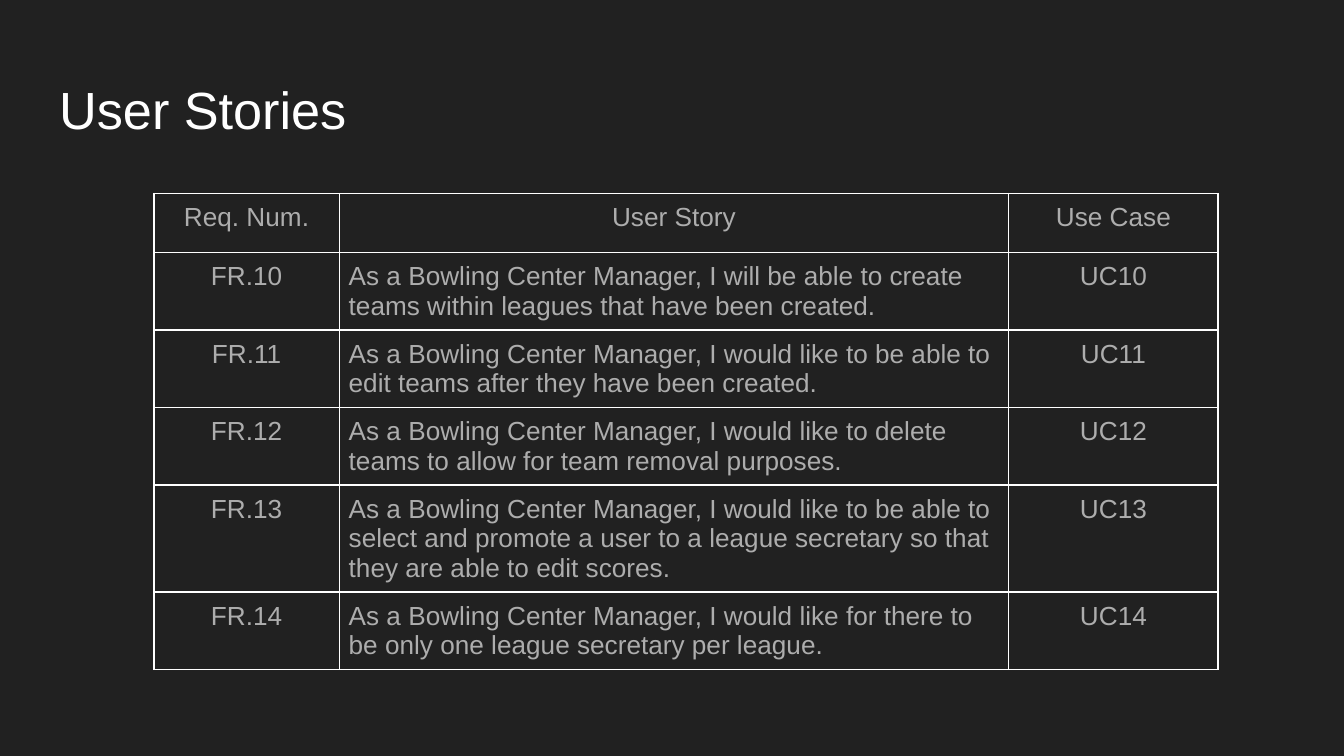
from lxml import etree
from pptx import Presentation
from pptx.dml.color import RGBColor
from pptx.enum.text import MSO_ANCHOR, MSO_AUTO_SIZE, PP_ALIGN
from pptx.oxml.ns import qn
from pptx.util import Pt

LEFT, CENTER = PP_ALIGN.LEFT, PP_ALIGN.CENTER
TOP = MSO_ANCHOR.TOP
NO_AUTOFIT = MSO_AUTO_SIZE.NONE

PX = 4572  # EMU in one px, 200 px to the inch
FONT = "Arial"
BACKGROUND, WHITE, GREY = "212121", "FFFFFF", "ADADAD"
TITLE_ONLY = 5

COLUMN_WIDTHS = [276, 996, 312]
COLUMN_ALIGNS = [CENTER, LEFT, CENTER]
HEADER_HEIGHT, ROW_HEIGHT = 88, 84
HEADER = ["Req. Num.", "User Story", "Use Case"]
FIRST_NUMBER = 10
STORIES = [
    "I will be able to create teams within leagues that have been created.",
    "I would like to be able to edit teams after they have been created.",
    "I would like to delete teams to allow for team removal purposes.",
    "I would like to be able to select and promote a user to a league secretary "
    "so that they are able to edit scores.",
    "I would like for there to be only one league secretary per league.",
]


def px(length):
    return length * PX


def color(value):
    return RGBColor.from_string(value)


def write(para, text, size, ink, align):
    para.alignment = align
    span = para.add_run()
    span.text = text
    span.font.name = FONT
    span.font.size = Pt(size)
    span.font.bold = False
    span.font.color.rgb = color(ink)


def set_margins(holder, margin):
    holder.margin_left = holder.margin_right = px(margin)
    holder.margin_top = holder.margin_bottom = px(margin)


def add_borders(cell, ink):
    properties = cell._tc.get_or_add_tcPr()
    for side in ("a:lnL", "a:lnR", "a:lnT", "a:lnB"):
        line = etree.SubElement(properties, qn(side), w=str(Pt(1)))
        fill = etree.SubElement(line, qn("a:solidFill"))
        etree.SubElement(fill, qn("a:srgbClr"), val=ink)


def place_title(page, box, text):
    title = page.shapes.title
    title.left, title.top, title.width, title.height = map(px, box)
    frame = title.text_frame
    frame.auto_size = NO_AUTOFIT
    frame.vertical_anchor = TOP
    frame.word_wrap = True
    set_margins(frame, 20)
    write(frame.paragraphs[0], text, 28, WHITE, LEFT)


def place_stories(page, left, top):
    rows = [HEADER]
    for number, story in enumerate(STORIES, FIRST_NUMBER):
        rows.append([f"FR.{number}", f"As a Bowling Center Manager, {story}", f"UC{number}"])

    height = HEADER_HEIGHT + ROW_HEIGHT * len(STORIES)
    table = page.shapes.add_table(
        len(rows), len(HEADER), px(left), px(top), px(sum(COLUMN_WIDTHS)), px(height)
    ).table
    table.first_row = table.horz_banding = False
    for column, width in zip(table.columns, COLUMN_WIDTHS):
        column.width = px(width)

    for r, texts in enumerate(rows):
        table.rows[r].height = px(ROW_HEIGHT if r else HEADER_HEIGHT)
        for c, text in enumerate(texts):
            cell = table.cell(r, c)
            set_margins(cell, 14)
            cell.vertical_anchor = TOP
            add_borders(cell, WHITE)
            cell.fill.background()
            align = COLUMN_ALIGNS[c] if r else CENTER
            write(cell.text_frame.paragraphs[0], text, 14, GREY, align)


def main():
    deck = Presentation()
    deck.slide_width, deck.slide_height = px(2000), px(1125)
    page = deck.slides.add_slide(deck.slide_layouts[TITLE_ONLY])
    page.background.fill.solid()
    page.background.fill.fore_color.rgb = color(BACKGROUND)

    place_title(page, (68, 95, 1864, 126), "User Stories")
    place_stories(page, 229, 288)
    deck.save("out.pptx")


if __name__ == "__main__":
    main()
